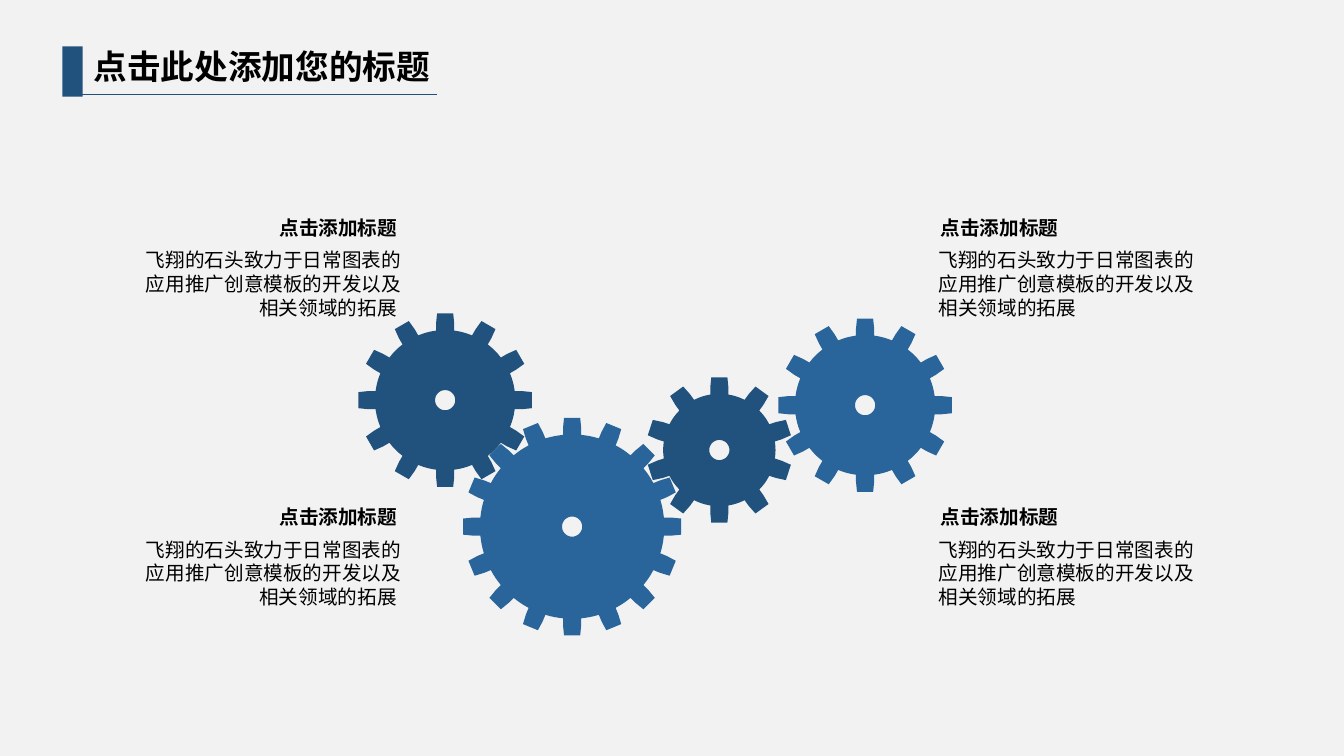
from math import cos, hypot, pi, sin

from lxml import etree
from pptx import Presentation
from pptx.dml.color import RGBColor
from pptx.enum.shapes import MSO_CONNECTOR, MSO_SHAPE
from pptx.enum.text import MSO_ANCHOR, MSO_AUTO_SIZE, PP_ALIGN
from pptx.oxml.ns import qn
from pptx.util import Pt

RECTANGLE = MSO_SHAPE.RECTANGLE
STRAIGHT = MSO_CONNECTOR.STRAIGHT
LEFT, RIGHT = PP_ALIGN.LEFT, PP_ALIGN.RIGHT
TOP = MSO_ANCHOR.TOP
NO_AUTOFIT = MSO_AUTO_SIZE.NONE

PX = 9144  # 100 px to the inch
FONT = "Noto Sans CJK SC"
COLORS = {"back": "F2F2F2", "dark": "21517D", "blue": "29659B", "text": "000000"}

TITLE = "点击此处添加您的标题"
HEADING = "点击添加标题"
BODY = "飞翔的石头致力于日常图表的应用推广创意模板的开发以及相关领域的拓展"


def px(length):
    return round(length * PX)


def color(name):
    return RGBColor.from_string(COLORS[name])


def place(shape, left, top, width, height):
    shape.left, shape.top = px(left), px(top)
    shape.width, shape.height = px(width), px(height)


def write(shape, text, size, bold=False, align=LEFT):
    frame = shape.text_frame
    frame.text = text
    frame.word_wrap = True
    frame.auto_size = NO_AUTOFIT
    frame.vertical_anchor = TOP
    para = frame.paragraphs[0]
    para.alignment = align
    para.line_spacing = Pt(round(size * 1.22))
    span = para.runs[0]
    span.font.name = FONT
    span.font.size = Pt(size)
    span.font.bold = bold
    span.font.color.rgb = color("text")
    # East Asian typeface
    etree.SubElement(span.font._element, qn("a:ea"), typeface=FONT)


def paint(shape, name):
    shape.shadow.inherit = False
    shape.fill.solid()
    shape.fill.fore_color.rgb = color(name)
    shape.line.fill.background()


def add_title(page, left, top):
    # Marker bar
    bar = page.shapes.add_shape(RECTANGLE, px(left), px(top), px(20), px(50))
    paint(bar, "dark")
    # Underline
    rule_y = px(top + 48)
    rule = page.shapes.add_connector(STRAIGHT, px(left + 14), rule_y, px(left + 371), rule_y)
    rule.line.color.rgb = color("dark")
    rule.line.width = Pt(0.5)
    etree.SubElement(rule._element.spPr, qn("a:effectLst"))
    # Title text
    title = page.shapes.title
    place(title, left + 21, top - 6, 392, 50)
    write(title, TITLE, 24, bold=True)


def add_gear(page, center_x, center_y, radius, teeth, fill):
    def point(distance, angle, offset=0):
        x = center_x + distance * cos(angle) - offset * sin(angle)
        y = center_y + distance * sin(angle) + offset * cos(angle)
        return px(x), px(y)

    base = radius - 17
    root = hypot(base, 9)
    step = 2 * pi / teeth
    profile = [(base, -9), (radius - 10, -9), (radius, -8),
               (radius, 8), (radius - 10, 9), (base, 9)]
    outline = []
    for tooth in range(teeth):
        angle = tooth * step - pi / 2
        outline += [point(distance, angle, offset) for distance, offset in profile]
        # Rounded root up to the next tooth
        outline += [point(root, angle + step * part) for part in (0.4, 0.5, 0.6)]
    hole = [point(10, -turn * pi / 18) for turn in range(36)]

    builder = page.shapes.build_freeform(*outline[0])
    builder.add_line_segments(outline[1:])
    builder.move_to(*hole[0])
    builder.add_line_segments(hole[1:])
    paint(builder.convert_to_shape(), fill)


def add_caption(page, left, top, align):
    # Heading, set in a little from the outer edge of the body
    heading_left = left + 126 if align == RIGHT else left + 2
    heading = page.shapes.add_textbox(px(heading_left), px(top), px(153), px(34))
    write(heading, HEADING, 14, bold=True, align=align)
    # Body
    body = page.shapes.add_textbox(px(left), px(top + 32), px(283), px(81))
    write(body, BODY + " " if align == RIGHT else BODY, 14, align=align)


def main():
    deck = Presentation()
    deck.slide_width, deck.slide_height = px(1333), px(750)
    page = deck.slides.add_slide(deck.slide_layouts[5])
    page.background.fill.solid()
    page.background.fill.fore_color.rgb = color("back")

    # Gear train
    add_gear(page, 441.5, 397, 86, 12, "dark")
    add_gear(page, 567.5, 522.5, 108, 16, "blue")
    add_gear(page, 713.5, 446.5, 72, 10, "dark")
    add_gear(page, 858, 402, 86, 12, "blue")

    # Captions on both sides
    for top in (209, 496):
        add_caption(page, 125, top, RIGHT)
        add_caption(page, 921, top, LEFT)

    add_title(page, 62, 46)
    deck.save("out.pptx")


if __name__ == "__main__":
    main()
